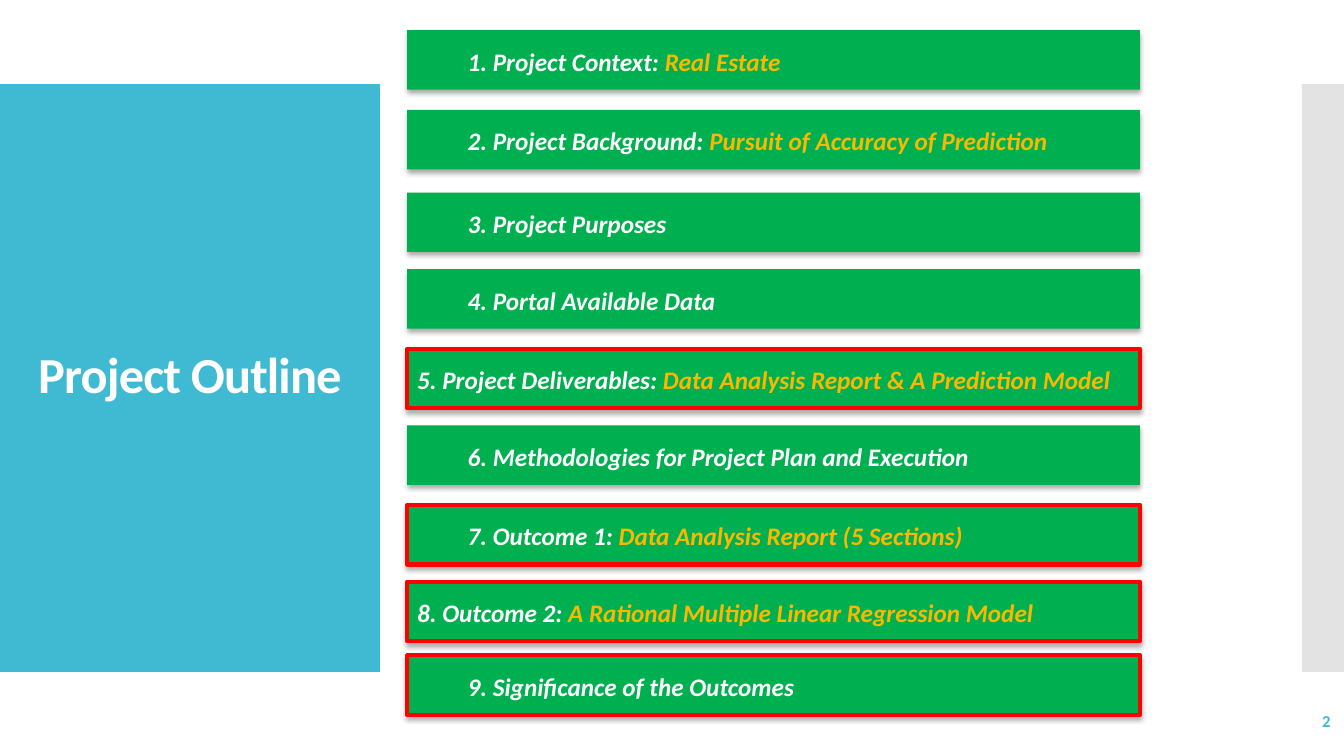
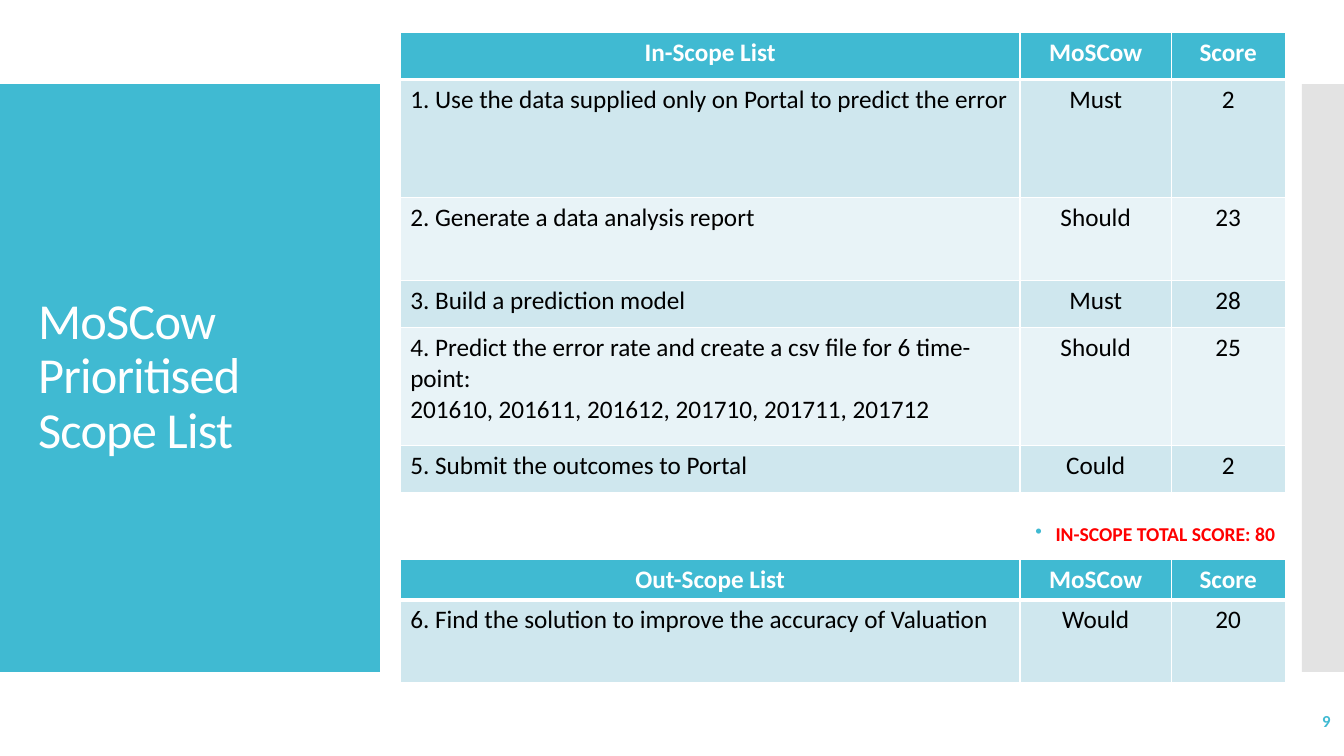
from lxml import etree
from pptx import Presentation
from pptx.dml.color import RGBColor
from pptx.enum.shapes import MSO_SHAPE as Preset
from pptx.enum.text import MSO_ANCHOR as Anchor, PP_ALIGN as Align
from pptx.oxml import parse_xml
from pptx.oxml.ns import nsdecls, qn
from pptx.util import Inches, Pt

# Shared style
FONT = "Calibri"
TEAL, WHITE, BLACK = "40BAD2", "FFFFFF", "000000"
GREEN, GOLD, RED, GREY = "00B050", "FAB900", "FF0000", "C8C8C8"
STRIPES = ("CFE7EE", "E8F3F7")
COLUMNS, ROWS = 160, 90  # square grid cells, 12 to the inch


def rgb(hex_code):
    return RGBColor.from_string(hex_code)


def grid(*counts):
    return [Inches(count / 12) for count in counts]


class Deck:
    """Holds the style and the slide being drawn."""

    def __init__(self):
        self.prs = Presentation()
        self.prs.slide_width, self.prs.slide_height = grid(COLUMNS, ROWS)
        self.slide = None

    def new_slide(self, title, number, bold_title=False):
        self.slide = self.prs.slides.add_slide(self.prs.slide_layouts[6])
        # Side bands
        self.band(0, 10, 45.24, 70, TEAL)
        edge = self.band(155, 10, 5, 70, GREY)
        tint = edge._element.spPr.find(".//" + qn("a:srgbClr"))
        etree.SubElement(tint, qn("a:alpha"), val="50000")
        # Title and slide number
        heading = self.text(3.36, 14.76, 38.64, 60.36, title, 36, WHITE, bold_title)
        heading.line_spacing = 0.9
        heading.runs[0]._r.get_or_add_rPr().set("spc", "-60")
        footer = self.text(139.56, 83.4, 20.04, 4.8, number, 12, TEAL, True)
        footer.alignment = Align.RIGHT

    def style(self, paragraph, size, color, bold=False, italic=False):
        font = paragraph.font
        font.name, font.size = FONT, Pt(size)
        font.bold, font.italic = bold, italic
        font.color.rgb = rgb(color)

    def band(self, left, top, width, height, color):
        band = self.slide.shapes.add_shape(
            Preset.RECTANGLE, *grid(left, top, width, height))
        band.shadow.inherit = False
        band.fill.solid()
        band.fill.fore_color.rgb = rgb(color)
        band.line.fill.background()
        return band

    def text(self, left, top, width, height, words, size, color, bold=False, drop=0):
        box = self.slide.shapes.add_textbox(*grid(left, top, width, height))
        frame = box.text_frame
        frame.word_wrap = True
        frame.vertical_anchor = Anchor.MIDDLE
        frame.margin_top += Inches(drop / 12)
        paragraph = frame.paragraphs[0]
        paragraph.add_run().text = words
        self.style(paragraph, size, color, bold)
        return paragraph

    def outline_bar(self, top, label, detail, indented, framed):
        bar = self.band(48.48, top, 87.24, 7.08, GREEN)
        if framed:
            bar.line.color.rgb = rgb(RED)
            bar.line.width = Pt(3)
        effects = bar._element.spPr.find(qn("a:effectLst"))
        effects.append(parse_xml(
            f'<a:outerShdw {nsdecls("a")} blurRad="44450" dist="27940" dir="5400000" '
            f'algn="ctr" rotWithShape="0"><a:srgbClr val="{BLACK}">'
            '<a:alpha val="32000"/></a:srgbClr></a:outerShdw>'))
        frame = bar.text_frame
        frame.word_wrap = True
        frame.vertical_anchor = Anchor.MIDDLE
        frame.margin_left = Inches(0.6 if indented else 0.1)
        line = frame.paragraphs[0]
        line.alignment = Align.LEFT
        line.line_spacing, line.space_after = 1.07, Pt(8)
        self.style(line, 18, WHITE, True, True)
        line.add_run().text = f"{label}: " if detail else label
        if detail:
            accent = line.add_run()
            accent.text = detail
            accent.font.color.rgb = rgb(GOLD)

    def bullet(self, left, top, width, height, words):
        item = self.text(left, top, width, height, words, 14, RED, True, drop=1.9)
        item.alignment, item.line_spacing = Align.RIGHT, 0.9
        props = item._p.get_or_add_pPr()
        props.set("marL", str(Inches(0.2)))
        props.set("indent", str(-Inches(0.2)))
        color = etree.SubElement(props, qn("a:buClr"))
        etree.SubElement(color, qn("a:srgbClr"), val=TEAL)
        etree.SubElement(props, qn("a:buChar"), char="•")

    def cell_borders(self, cell, row):
        widths = {"L": 1, "R": 1, "T": 3 if row == 1 else 1, "B": 3 if row == 0 else 1}
        props = cell._tc.get_or_add_tcPr()
        for side, points in widths.items():
            props.append(parse_xml(
                f'<a:ln{side} {nsdecls("a")} w="{Pt(points)}"><a:solidFill>'
                f'<a:srgbClr val="{WHITE}"/></a:solidFill></a:ln{side}>'))

    def scope_table(self, top, heights, records):
        widths = (73.8, 18, 13.56)
        frame = self.slide.shapes.add_table(
            len(records), len(widths), *grid(47.64, top, sum(widths), sum(heights)))
        table = frame.table
        for column, width in zip(table.columns, grid(*widths)):
            column.width = width
        for row, height in zip(table.rows, grid(*heights)):
            row.height = height
        for r, record in enumerate(records):
            header = r == 0
            for c, words in enumerate(record):
                cell = table.cell(r, c)
                cell.text = words
                self.cell_borders(cell, r)
                cell.fill.solid()
                cell.fill.fore_color.rgb = rgb(TEAL if header else STRIPES[(r - 1) % 2])
                for paragraph in cell.text_frame.paragraphs:
                    self.style(paragraph, 18, WHITE if header else BLACK, header)
                    paragraph.alignment = Align.CENTER if header or c else Align.LEFT


# Content: top row, label, detail, indented, framed
OUTLINE = [
    (3.6, "1. Project Context", "Real Estate", True, False),
    (13.08, "2. Project Background", "Pursuit of Accuracy of Prediction", True, False),
    (22.92, "3. Project Purposes", "", True, False),
    (32.04, "4. Portal Available Data", "", True, False),
    (41.52, "5. Project Deliverables", "Data Analysis Report & A Prediction Model",
     False, True),
    (50.64, "6. Methodologies for Project Plan and Execution", "", True, False),
    (60.12, "7. Outcome 1", "Data Analysis Report (5 Sections)", True, True),
    (69.24, "8. Outcome 2", "A Rational Multiple Linear Regression Model", False, True),
    (78, "9. Significance of the Outcomes", "", True, True),
]
RATING = ("MoSCow", "Score")
IN_SCOPE = [
    ("In-Scope List", *RATING),
    ("1. Use the data supplied only on Portal to predict the error", "Must", "2"),
    ("2. Generate a data analysis report", "Should", "23"),
    ("3. Build a prediction model", "Must", "28"),
    ("4. Predict the error rate and create a csv file for 6 time-point:\n"
     "201610, 201611, 201612, 201710, 201711, 201712", "Should", "25"),
    ("5. Submit the outcomes to Portal", "Could", "2"),
]
OUT_SCOPE = [
    ("Out-Scope List", *RATING),
    ("6. Find the solution to improve the accuracy of Valuation", "Would", "20"),
]


def main():
    deck = Deck()

    # Project outline
    deck.new_slide("Project Outline", "2", bold_title=True)
    for entry in OUTLINE:
        deck.outline_bar(*entry)

    # Scope list
    deck.new_slide("MoSCow Prioritised Scope List", "9")
    deck.scope_table(3.84, (5.64, 14.04, 9.84, 5.64, 14.04, 5.64), IN_SCOPE)
    deck.bullet(103.32, 59.4, 49.68, 6.72, "IN-SCOPE TOTAL SCORE: 80")
    deck.scope_table(66.6, (4.8, 9.84), OUT_SCOPE)

    deck.prs.save("out.pptx")


if __name__ == "__main__":
    main()
